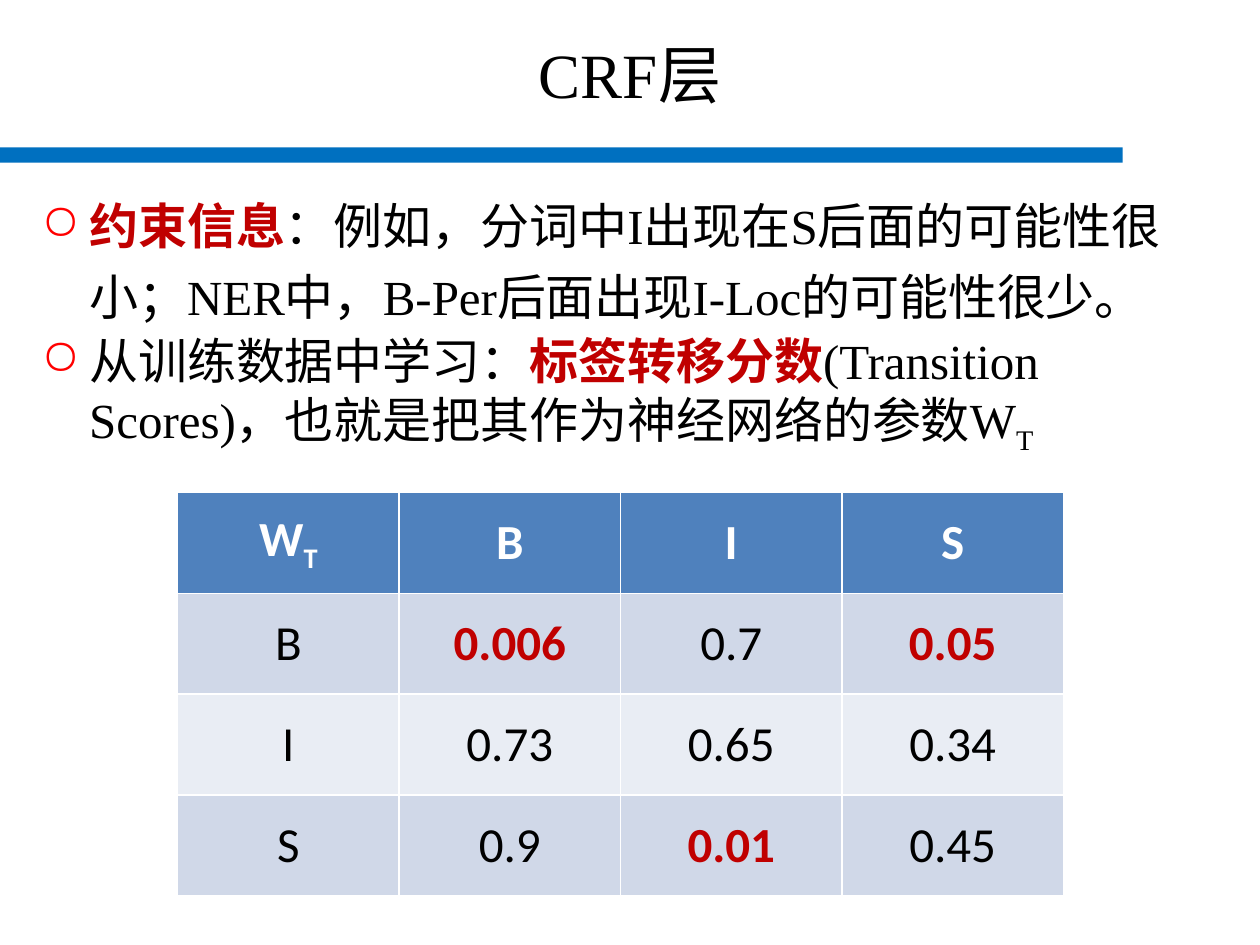
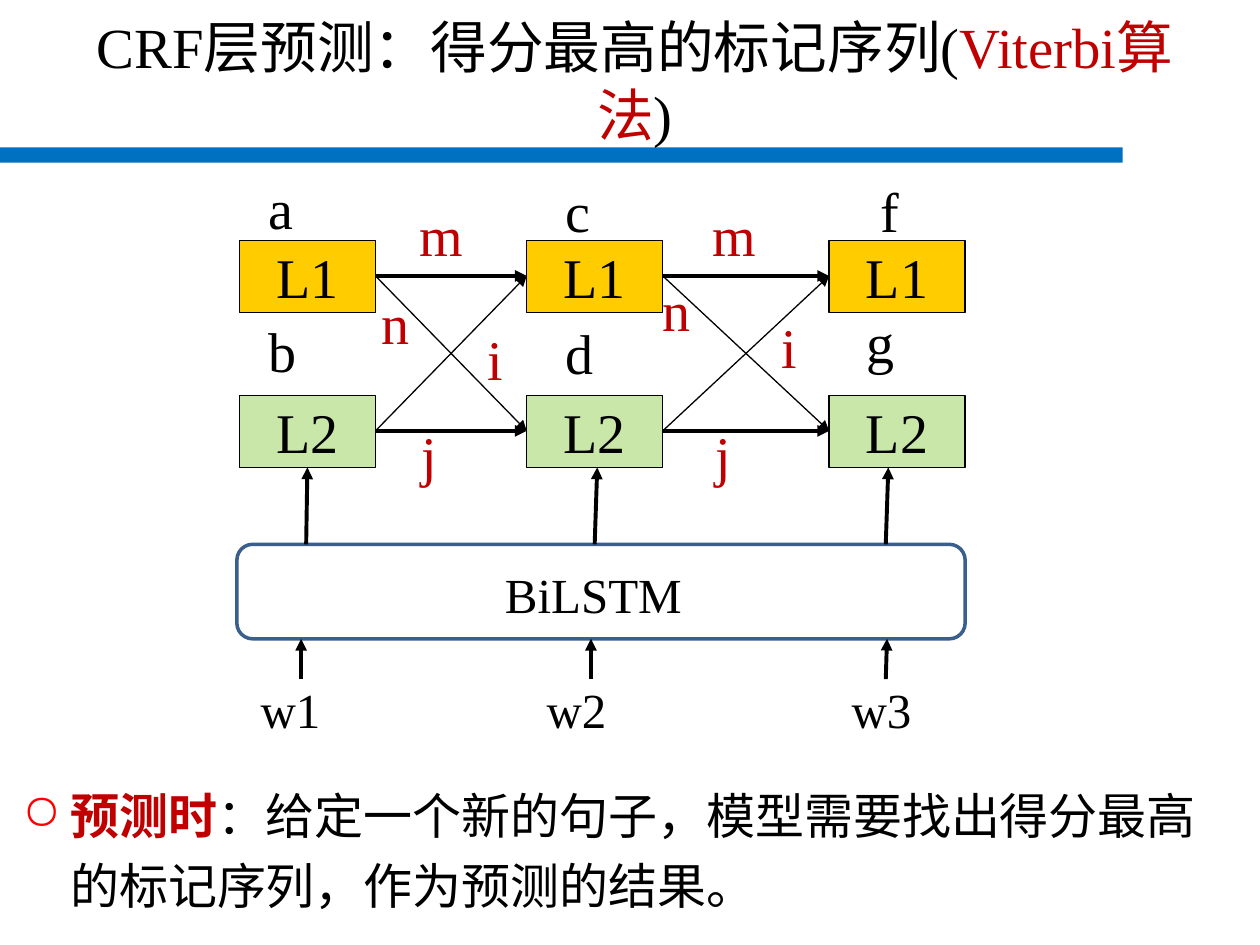
from lxml import etree
from pptx import Presentation
from pptx import util as u
from pptx.dml.color import RGBColor
from pptx.enum import shapes, text
from pptx.oxml.ns import qn

# Shared look: 100 px to the inch
PX = 9144
SERIF, SANS = "Times New Roman", "Calibri"
BLACK = RGBColor(0x00, 0x00, 0x00)
WHITE = RGBColor(0xFF, 0xFF, 0xFF)
RED = RGBColor(0xC0, 0x00, 0x00)
BULLET_RED = RGBColor(0xFF, 0x00, 0x00)
BAND_BLUE = RGBColor(0x00, 0x70, 0xC0)
HEADER_BLUE = RGBColor(0x4F, 0x81, 0xBD)
ROW_TINTS = RGBColor(0xD0, 0xD8, 0xE8), RGBColor(0xE9, 0xED, 0xF4)
FRAME_BLUE = RGBColor(0x3A, 0x5F, 0x8C)
YELLOW = RGBColor(0xFF, 0xCC, 0x00)
GREEN = RGBColor(0x92, 0xD0, 0x50)
BAND = (0, 117, 891, 12)

# Run styles
PLAIN = {}
ACCENT = {"color": RED}
STRONG = {"color": RED, "bold": True}
SUB = {"sub": True}

# Content of the CRF layer slide
LAYER_TITLE = [("CRF层", PLAIN)]
LAYER_POINTS = [
    (1.2, [("约束信息", STRONG),
           ("：例如，分词中I出现在S后面的可能性很小；NER中，B-Per后面出现I-Loc的可能性很少。", PLAIN)]),
    (1.0, [("从训练数据中学习：", PLAIN), ("标签转移分数", STRONG),
           ("(Transition Scores)，也就是把其作为神经网络的参数W", PLAIN), ("T", SUB)]),
]
SCORES = [
    ["W", "B", "I", "S"],
    ["B", "0.006", "0.7", "0.05"],
    ["I", "0.73", "0.65", "0.34"],
    ["S", "0.9", "0.01", "0.45"],
]
UNLIKELY = {"0.006", "0.05", "0.01"}

# Content of the prediction slide
VITERBI_TITLE = [("CRF层预测：得分最高的标记序列(", PLAIN), ("Viterbi算法", ACCENT), (")", PLAIN)]
VITERBI_POINTS = [
    (1.2, [("预测时", STRONG),
           ("：给定一个新的句子，模型需要找出得分最高的标记序列，作为预测的结果。", PLAIN)]),
]
STEP_LEFTS = [190, 418, 658]
STATES = [("L1", 191, YELLOW, None), ("L2", 314, GREEN, 49)]
STATE_W, STATE_H = 108, 57
STATE_SCORES = [("a", 203, 133), ("c", 439, 135), ("f", 689, 135),
                ("b", 203, 246), ("d", 439, 248), ("g", 678, 239)]
MOVE_SCORES = [("m", 323, 154), ("n", 293, 224), ("i", 377, 253), ("j", 325, 329),
               ("m", 556, 154), ("n", 516, 214), ("i", 610, 243), ("j", 558, 329)]
WORDS = [("w1", 197), ("w2", 424), ("w3", 666)]
ENCODER = (188, 432, 578, 75)
WORD_ARROWS = [(239, 239), (469, 469), (703, 704)]
STATE_ARROWS = [(243, 244), (472, 474), (703, 705)]


def px(*lengths):
    return [u.Emu(length * PX) for length in lengths]


def style_run(run, size, font=SERIF, color=BLACK, bold=False, sub=False):
    run.font.size, run.font.name, run.font.bold = u.Pt(size), font, bold
    run.font.color.rgb = color
    if sub:
        run.font._element.set("baseline", "-25000")


def write(paragraph, parts, size, font=SERIF):
    for words, style in parts:
        run = paragraph.add_run()
        run.text = words
        style_run(run, size, font, **style)


def add_bullet(paragraph):
    props = paragraph._p.get_or_add_pPr()
    props.set("marL", str(38 * PX))
    props.set("indent", str(-38 * PX))
    color = etree.SubElement(props, qn("a:buClr"))
    etree.SubElement(color, qn("a:srgbClr"), val=str(BULLET_RED))
    etree.SubElement(props, qn("a:buChar"), char="○")


def add_box(slide, kind, box, fill, line, width):
    shape = slide.shapes.add_shape(kind, *px(*box))
    shape.shadow.inherit = False
    if fill is None:
        shape.fill.background()
    else:
        shape.fill.solid()
        shape.fill.fore_color.rgb = fill
    if line is None:
        shape.line.fill.background()
    else:
        shape.line.color.rgb = line
        shape.line.width = u.Pt(width)
    return shape


def start_slide(prs, title_parts, box, size):
    slide = prs.slides.add_slide(prs.slide_layouts[5])
    band = add_box(slide, shapes.MSO_SHAPE.RECTANGLE, BAND, BAND_BLUE, None, 0)
    slide.shapes._spTree.insert(2, band._element)
    title = slide.shapes.title
    title.left, title.top, title.width, title.height = px(*box)
    frame = title.text_frame
    frame.auto_size = text.MSO_AUTO_SIZE.NONE
    frame.vertical_anchor = text.MSO_ANCHOR.MIDDLE
    frame.paragraphs[0].alignment = text.PP_ALIGN.CENTER
    write(frame.paragraphs[0], title_parts, size)
    return slide


def add_points(slide, points, box):
    frame = slide.shapes.add_textbox(*px(*box)).text_frame
    frame.word_wrap = True
    for index, (spacing, parts) in enumerate(points):
        paragraph = frame.add_paragraph() if index else frame.paragraphs[0]
        paragraph.line_spacing = spacing
        paragraph.space_before = u.Pt(3)
        add_bullet(paragraph)
        write(paragraph, parts, 28)


def add_label(slide, words, left, top, size, color=BLACK, width=92):
    frame = slide.shapes.add_textbox(*px(left, top, width, 75)).text_frame
    frame.word_wrap = True
    frame.text = words
    frame.paragraphs[0].space_before = u.Pt(3)
    style_run(frame.paragraphs[0].runs[0], size, color=color)


def add_arrow(slide, start, end, width=2.25):
    arrow = slide.shapes.add_connector(shapes.MSO_CONNECTOR.STRAIGHT, *px(*start, *end))
    arrow.line.color.rgb = BLACK
    arrow.line.width = u.Pt(width)
    etree.SubElement(arrow.line._get_or_add_ln(), qn("a:tailEnd"), type="triangle")
    etree.SubElement(arrow._element.spPr, qn("a:effectLst"))


def add_scores(slide):
    count = len(SCORES)
    table = slide.shapes.add_table(count, count, *px(141, 391, 703, 320)).table
    for r, row in enumerate(SCORES):
        for c, value in enumerate(row):
            cell = table.cell(r, c)
            cell.vertical_anchor = text.MSO_ANCHOR.MIDDLE
            cell.fill.solid()
            cell.fill.fore_color.rgb = ROW_TINTS[(r - 1) % 2] if r else HEADER_BLUE
            head = {"color": WHITE, "bold": True}
            style = head if r == 0 else STRONG if value in UNLIKELY else PLAIN
            parts = [(value, style)]
            if value == "W":
                parts.append(("T", {**head, **SUB}))
            paragraph = cell.text_frame.paragraphs[0]
            paragraph.alignment = text.PP_ALIGN.CENTER
            write(paragraph, parts, 28, SANS)


def add_state(slide, name, left, top, fill, alpha):
    box = (left, top, STATE_W, STATE_H)
    state = add_box(slide, shapes.MSO_SHAPE.RECTANGLE, box, fill, BLACK, 0.75)
    if alpha:
        tint = state._element.spPr.find(qn("a:solidFill"))[0]
        etree.SubElement(tint, qn("a:alpha"), val=str(alpha * 1000))
    frame = state.text_frame
    frame.text = name
    frame.vertical_anchor = text.MSO_ANCHOR.MIDDLE
    frame.paragraphs[0].alignment = text.PP_ALIGN.CENTER
    frame.paragraphs[0].space_before = u.Pt(3)
    style_run(frame.paragraphs[0].runs[0], 32)


def add_lattice(slide):
    # Encoder with the words below it
    for word, left in WORDS:
        add_label(slide, word, left, 534, 28)
    add_box(slide, shapes.MSO_SHAPE.ROUNDED_RECTANGLE, ENCODER, None, FRAME_BLUE, 2)
    add_label(slide, "BiLSTM", 391, 443, 28, width=164)
    for start, end in WORD_ARROWS:
        add_arrow(slide, (start, 539), (end, 507))
    for start, end in STATE_ARROWS:
        add_arrow(slide, (start, 432), (end, 371))

    # States of each step, then every move to the next step
    for left in STEP_LEFTS:
        for name, top, fill, alpha in STATES:
            add_state(slide, name, left, top, fill, alpha)
    middles = [top + STATE_H // 2 for _, top, _, _ in STATES]
    for left, following in zip(STEP_LEFTS, STEP_LEFTS[1:]):
        for source in middles:
            for target in middles:
                width = 2.25 if source == target else 0.75
                add_arrow(slide, (left + STATE_W, source), (following, target), width)

    # Scores of states and moves
    for name, left, top in STATE_SCORES:
        add_label(slide, name, left, top, 32)
    for name, left, top in MOVE_SCORES:
        add_label(slide, name, left, top, 32, RED)


def main():
    prs = Presentation()
    prs.slide_width, prs.slide_height = px(1000, 750)

    layer = start_slide(prs, LAYER_TITLE, (50, 0, 900, 117), 36)
    add_points(layer, LAYER_POINTS, (23, 141, 945, 227))
    add_scores(layer)

    viterbi = start_slide(prs, VITERBI_TITLE, (43, 5, 922, 117), 32.4)
    add_points(viterbi, VITERBI_POINTS, (8, 609, 977, 125))
    add_lattice(viterbi)

    prs.save("out.pptx")


if __name__ == "__main__":
    main()
